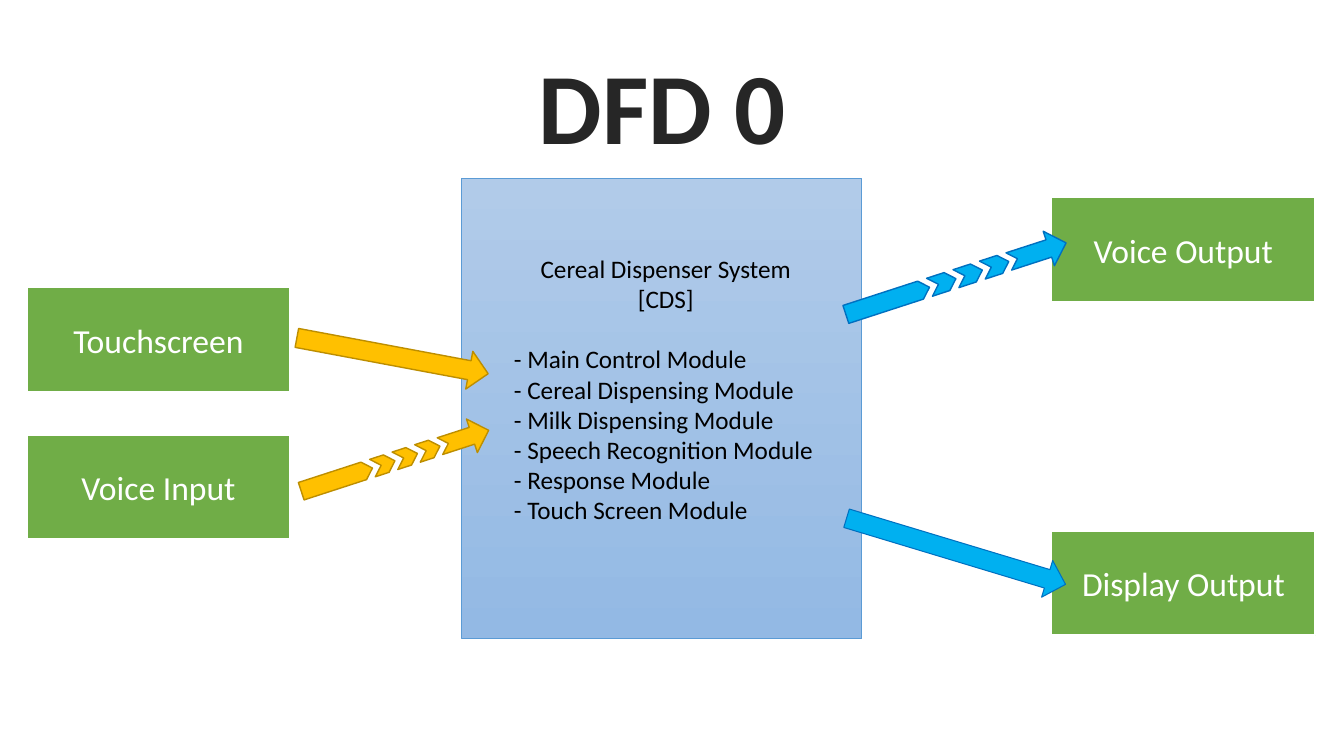
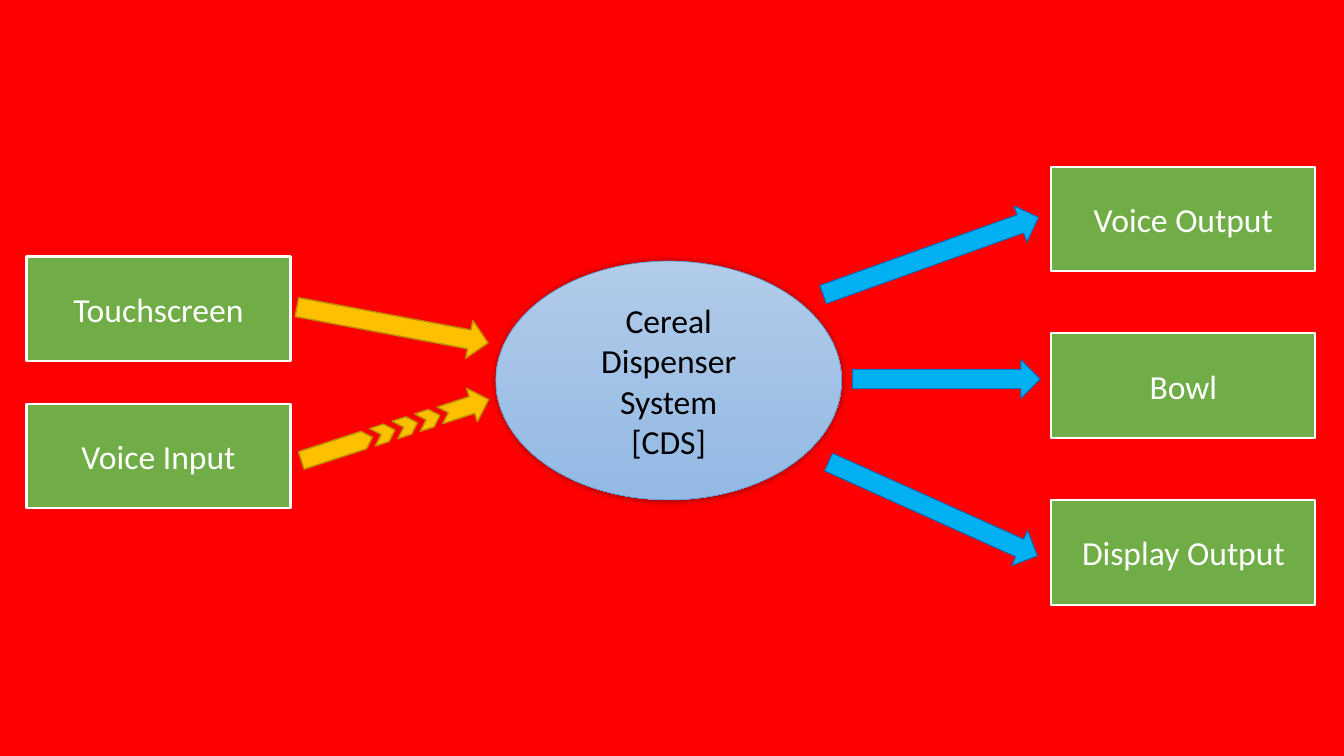
import math

from lxml import etree
from pptx import Presentation
from pptx.dml.color import RGBColor
from pptx.enum import shapes, text
from pptx.oxml import ns
from pptx.util import Pt

COLORS = {
    "white": "FFFFFF", "black": "000000", "red": "FF0000", "title": "262626",
    "box": "70AD47", "core_top": "B1CBE9", "core_bottom": "93B9E4",
    "core_line": "5B9BD5", "input": "FFC000", "input_line": "BD8E00",
    "output": "00B0F0", "output_line": "0070C0",
}
FONT = "Calibri"
SHAPE = shapes.MSO_SHAPE
CENTER, LEFT = text.PP_ALIGN.CENTER, text.PP_ALIGN.LEFT

TITLE = "DFD 0"
SYSTEM = ["Cereal Dispenser System", "[CDS]"]
MODULES = ["- Main Control Module", "- Cereal Dispensing Module",
           "- Milk Dispensing Module", "- Speech Recognition Module",
           "- Response Module", "- Touch Screen Module"]
INPUTS = ["Touchscreen", "Voice Input"]

# Output arrows: style, tail x, tail y, length, angle, head height, line width
SLIDES = [
    {"bg": "white", "inputs_top": 205.2, "outputs_top": 141,
     "outputs": {0: "Voice Output", 2: "Display Output"},
     "core": (SHAPE.RECTANGLE, 329.8, 127.4, 285.8, 329),
     "arrows": [("dashed", 604.2, 224.6, 165.4, -18, 25.9, 1),
                ("solid", 604.7, 370.2, 163.4, 16.8, 27.4, 0.75)]},
    {"bg": "red", "inputs_top": 183.2, "outputs_top": 119,
     "outputs": {0: "Voice Output", 1: "Bowl", 2: "Display Output"},
     "core": (SHAPE.OVAL, 354.2, 186.5, 247, 170.6),
     "arrows": [("solid", 588, 210.4, 163.4, -19.7, 27.4, 0.75),
                ("solid", 609.1, 270.7, 133.9, 0, 27.4, 0.75),
                ("solid", 591.9, 330.1, 163.4, 24.2, 27.4, 0.75)]},
]
# Input arrows: same fields, with the tail y measured from the first input box
INPUT_ARROWS = [("solid", 212.1, 36.2, 139, 10.6, 27.4, 1),
                ("dashed", 215.2, 145.7, 140.8, -18, 25.2, 1)]

# Arrow parts: shape, start and length as shares of the arrow, share of head height
ARROW_PARTS = {
    "solid": [(SHAPE.RIGHT_ARROW, 0, 1, 1)],
    "dashed": [(SHAPE.PENTAGON, 0, 0.38, 0.52)]
    + [(SHAPE.CHEVRON, 0.38 + 0.12 * i, 0.12, 0.52) for i in range(3)]
    + [(SHAPE.NOTCHED_RIGHT_ARROW, 0.74, 0.26, 1)],
}
BOX_W, BOX_H = 188.6, 74.7
INPUT_X, OUTPUT_X = 18.9, 751
INPUT_PITCH, OUTPUT_PITCH = 105.3, 119.1


def rgb(name):
    """Return the named colour."""
    return RGBColor.from_string(COLORS[name])


def add_shape(slide, kind, x, y, w, h, fill, line, width):
    """Add a flat outlined shape; a fill of None is left to the caller."""
    sp = slide.shapes.add_shape(kind, Pt(x), Pt(y), Pt(w), Pt(h))
    sp.shadow.inherit = False
    if fill:
        sp.fill.solid()
        sp.fill.fore_color.rgb = rgb(fill)
    sp.line.color.rgb = rgb(line)
    sp.line.width = Pt(width)
    return sp


def write(sp, lines, size, color, align=CENTER, bold=False):
    """Set the lines of a shape as paragraphs in one style."""
    tf = sp.text_frame
    tf.text = "\n".join(lines)
    for p in tf.paragraphs:
        p.alignment = align
        for r in p.runs:
            r.font.name, r.font.size, r.font.bold = FONT, Pt(size), bold
            r.font.color.rgb = rgb(color)
    return tf


def add_box(slide, x, y, label):
    """Add a green input or output box."""
    sp = add_shape(slide, SHAPE.RECTANGLE, x, y, BOX_W, BOX_H, "box", "white", 1.5)
    write(sp, [label], 24, "white").vertical_anchor = text.MSO_ANCHOR.MIDDLE


def add_core(slide, kind, x, y, w, h):
    """Add the blue gradient shape of the system."""
    sp = add_shape(slide, kind, x, y, w, h, None, "core_line", 0.5)
    sp.fill.gradient()
    sp.fill.gradient_angle = 270
    for stop, name in zip(sp.fill.gradient_stops, ("core_top", "core_bottom")):
        stop.color.rgb = rgb(name)
    return sp


def add_arrow(slide, role, style, x, y, length, angle, head, width):
    """Lay the parts of an arrow along its axis, from the tail at x, y."""
    turn = math.radians(angle)
    for kind, start, share, height in ARROW_PARTS[style]:
        w, h = length * share, head * height
        middle = length * start + w / 2
        cx, cy = x + middle * math.cos(turn), y + middle * math.sin(turn)
        sp = add_shape(slide, kind, cx - w / 2, cy - h / 2, w, h,
                       role, role + "_line", width)
        sp.rotation = angle


def add_color_xml(parent, name):
    """Append a colour element to parent and return it."""
    return etree.SubElement(parent, ns.qn("a:srgbClr"), val=COLORS[name])


def add_glow_shadow(sp):
    """Give a shape a soft black shadow on all sides."""
    effects = sp.element.spPr.find(ns.qn("a:effectLst"))
    shadow = etree.SubElement(effects, ns.qn("a:outerShdw"), blurRad=str(Pt(5)),
                              dist="0", dir="0", algn="ctr", rotWithShape="0")
    etree.SubElement(add_color_xml(shadow, "black"), ns.qn("a:alpha"), val="40000")


def add_text(slide, x, y, w, h):
    """Add an empty text box."""
    return slide.shapes.add_textbox(Pt(x), Pt(y), Pt(w), Pt(h))


def add_title(slide):
    """Add the large title with its thin white outline."""
    tf = write(add_text(slide, 376.6, 27.4, 193, 94.3), [TITLE], 72, "title", bold=True)
    tf.word_wrap = False
    outline = etree.Element(ns.qn("a:ln"), w=str(Pt(1.06)))
    add_color_xml(etree.SubElement(outline, ns.qn("a:solidFill")), "white")
    tf.paragraphs[0].runs[0].font._element.insert(0, outline)


def add_modules(slide):
    """Add the system name and its list of modules."""
    tf = write(add_text(slide, 360, 177.1, 231.1, 203.8), SYSTEM + MODULES, 18, "black", LEFT)
    tf.word_wrap = True
    for p in tf.paragraphs[:len(SYSTEM)]:
        p.alignment = CENTER
    tf.paragraphs[len(SYSTEM)].space_before = Pt(21.6)


def add_diagram(prs, data):
    """Add a slide with the system, its inputs and its outputs."""
    slide = prs.slides.add_slide(prs.slide_layouts[6])
    slide.background.fill.solid()
    slide.background.fill.fore_color.rgb = rgb(data["bg"])
    core = add_core(slide, *data["core"])
    for i, label in enumerate(INPUTS):
        add_box(slide, INPUT_X, data["inputs_top"] + i * INPUT_PITCH, label)
    for i, label in data["outputs"].items():
        add_box(slide, OUTPUT_X, data["outputs_top"] + i * OUTPUT_PITCH, label)
    for style, x, y, *rest in INPUT_ARROWS:
        add_arrow(slide, "input", style, x, data["inputs_top"] + y, *rest)
    for arrow in data["arrows"]:
        add_arrow(slide, "output", *arrow)
    return slide, core


prs = Presentation()
prs.slide_width, prs.slide_height = Pt(960), Pt(540)
overview, context = SLIDES

slide, core = add_diagram(prs, overview)
add_title(slide)
add_modules(slide)

slide, core = add_diagram(prs, context)
add_glow_shadow(core)
write(core, SYSTEM, 24, "black").vertical_anchor = text.MSO_ANCHOR.MIDDLE

prs.save("out.pptx")
